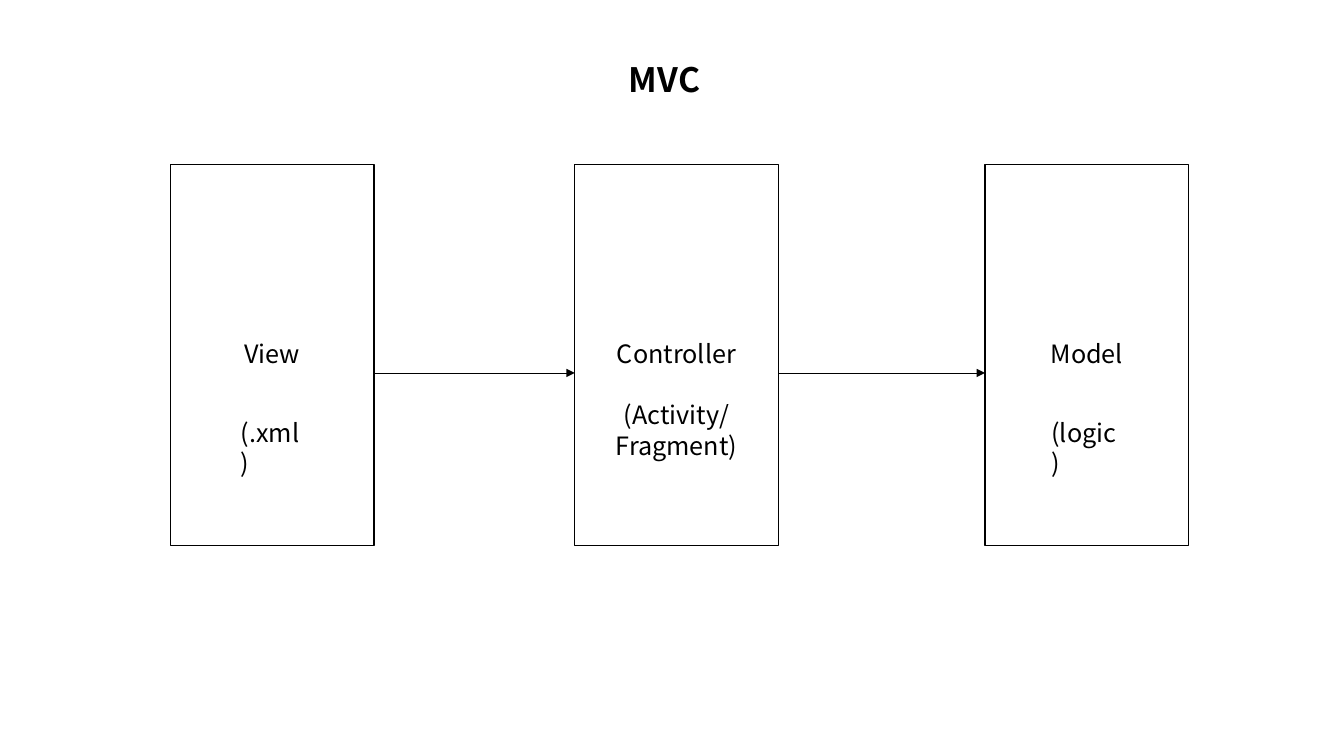
from lxml import etree
from pptx import Presentation
from pptx.dml.color import RGBColor
from pptx.enum.shapes import MSO_CONNECTOR, MSO_SHAPE
from pptx.enum.text import MSO_AUTO_SIZE, PP_ALIGN
from pptx.oxml.ns import qn
from pptx.util import Inches, Pt

RECT = MSO_SHAPE.RECTANGLE
LINE = MSO_CONNECTOR.STRAIGHT
LEFT, MID = PP_ALIGN.LEFT, PP_ALIGN.CENTER
GROW = MSO_AUTO_SIZE.SHAPE_TO_FIT_TEXT
FONT = "Noto Sans CJK KR"
INK = {"black": "000000"}
black = RGBColor.from_string(INK["black"])

deck = Presentation()
deck.slide_width, deck.slide_height = Inches(13.33), Inches(7.5)
col, row = deck.slide_width / 100, deck.slide_height / 100
slide = deck.slides.add_slide(deck.slide_layouts[6])


def grid(x, y, wide, high):
    return int(x * col), int(y * row), int(wide * col), int(high * row)


def write(text, place, size=18, bold=False, align=LEFT, gap=0):
    frame = slide.shapes.add_textbox(*grid(*place)).text_frame
    frame.word_wrap = True
    frame.auto_size = GROW
    for i, words in enumerate(text.split("\n")):
        para = frame.paragraphs[0] if i == 0 else frame.add_paragraph()
        para.alignment = align
        if i == 1:
            para.space_before = Pt(gap)
        run = para.add_run()
        run.text = words
        font = run.font
        font.name, font.size, font.bold = FONT, Pt(size), bold
        font.color.rgb = black


top, wide, high = 21.73, 15.15, 50.4
label = 44.13
cards = [
    ("View", 12.68, 10.4),
    ("Controller\n(Activity/\nFragment)", 42.76, 17.47),
    ("Model", 73.29, 10.4),
]
for text, x, tall in cards:
    card = slide.shapes.add_shape(RECT, *grid(x, top, wide, high))
    card.shadow.inherit = False
    card.fill.background()
    card.line.color.rgb = black
    card.line.width = Pt(1)
    write(text, (x, label, wide, tall), align=MID, gap=22)

level = int(49.33 * row)
for (_, x, _), (_, goal, _) in zip(cards, cards[1:]):
    arrow = slide.shapes.add_connector(
        LINE, int((x + wide) * col), level, int(goal * col), level)
    arrow.line.color.rgb = black
    arrow.line.width = Pt(0.5)
    etree.SubElement(arrow.line._get_or_add_ln(), qn("a:tailEnd"), type="triangle")
    etree.SubElement(arrow._element.spPr, qn("a:effectLst"))

write("MVC", (46.06, 7.07, 7.88, 6.67), size=24, bold=True)
write("(.xml)", (17.18, 54.53, 6.08, 5.33))
write("(logic)", (77.49, 54.53, 6.75, 5.33))

deck.save("out.pptx")
